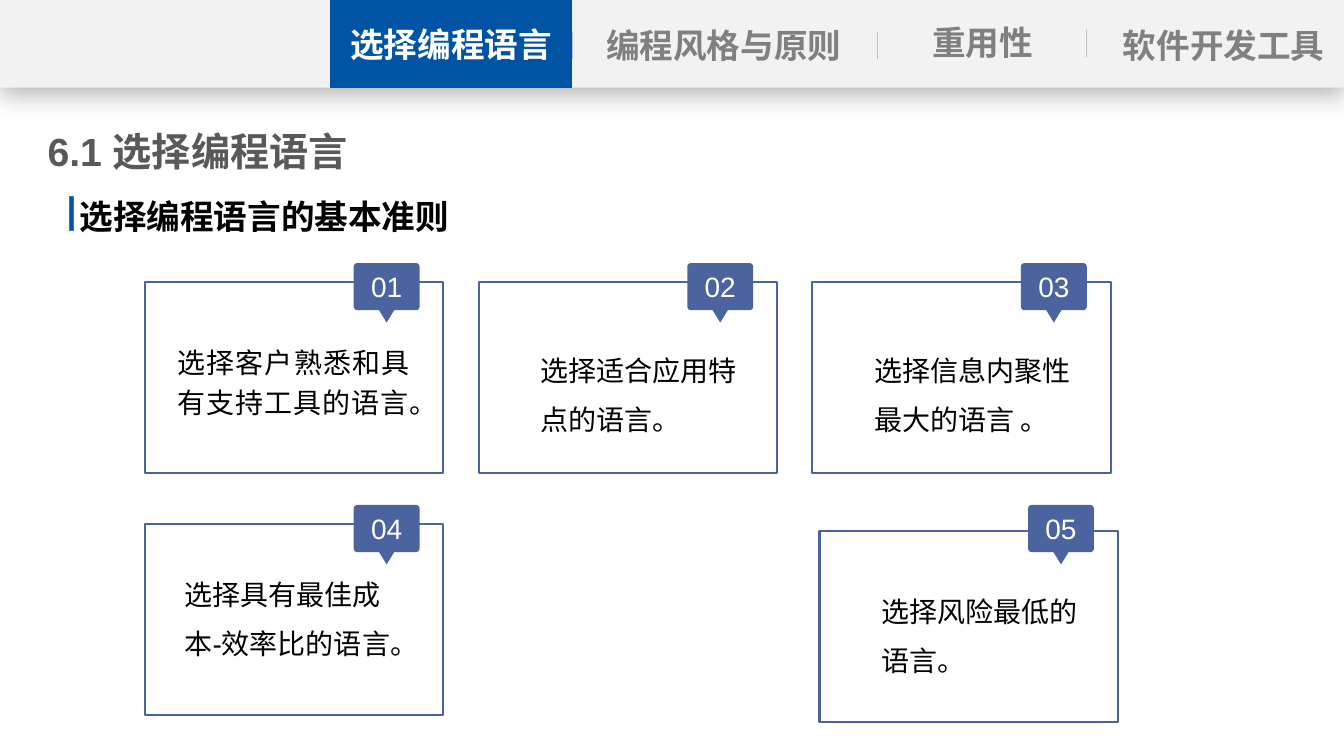
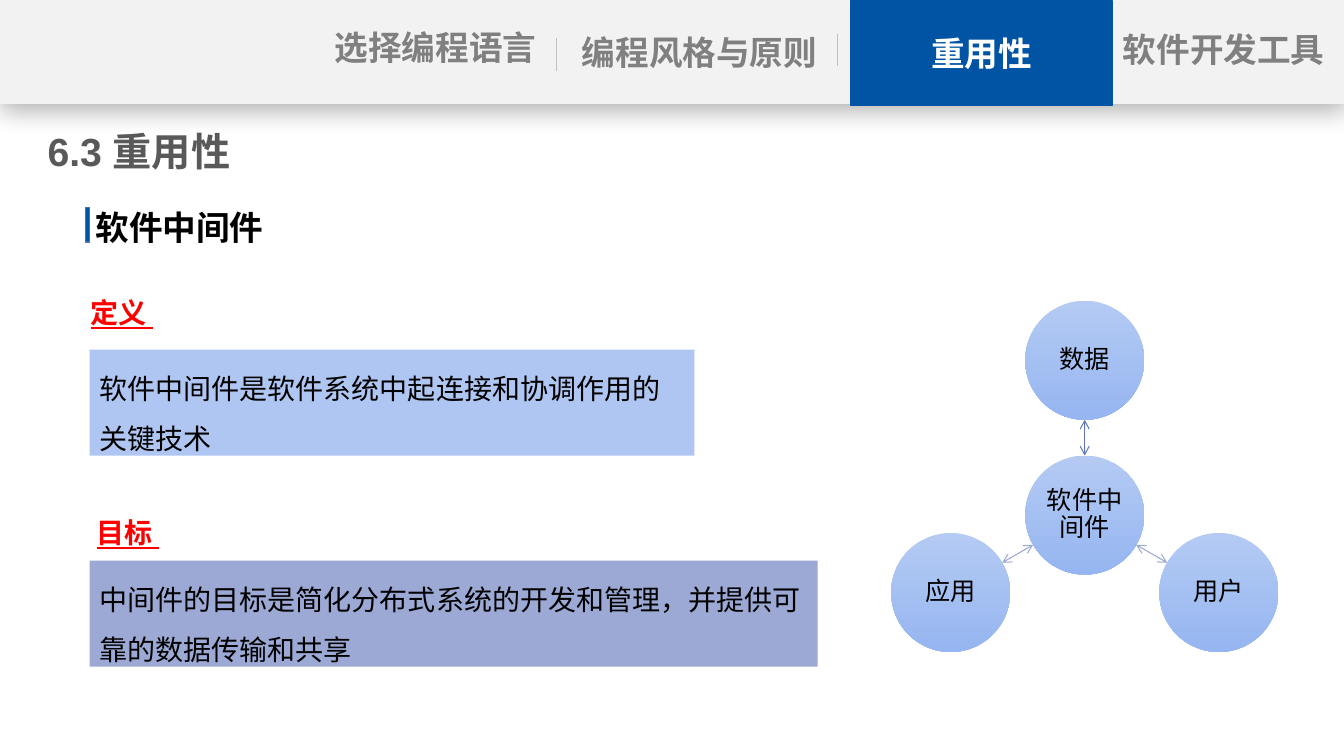
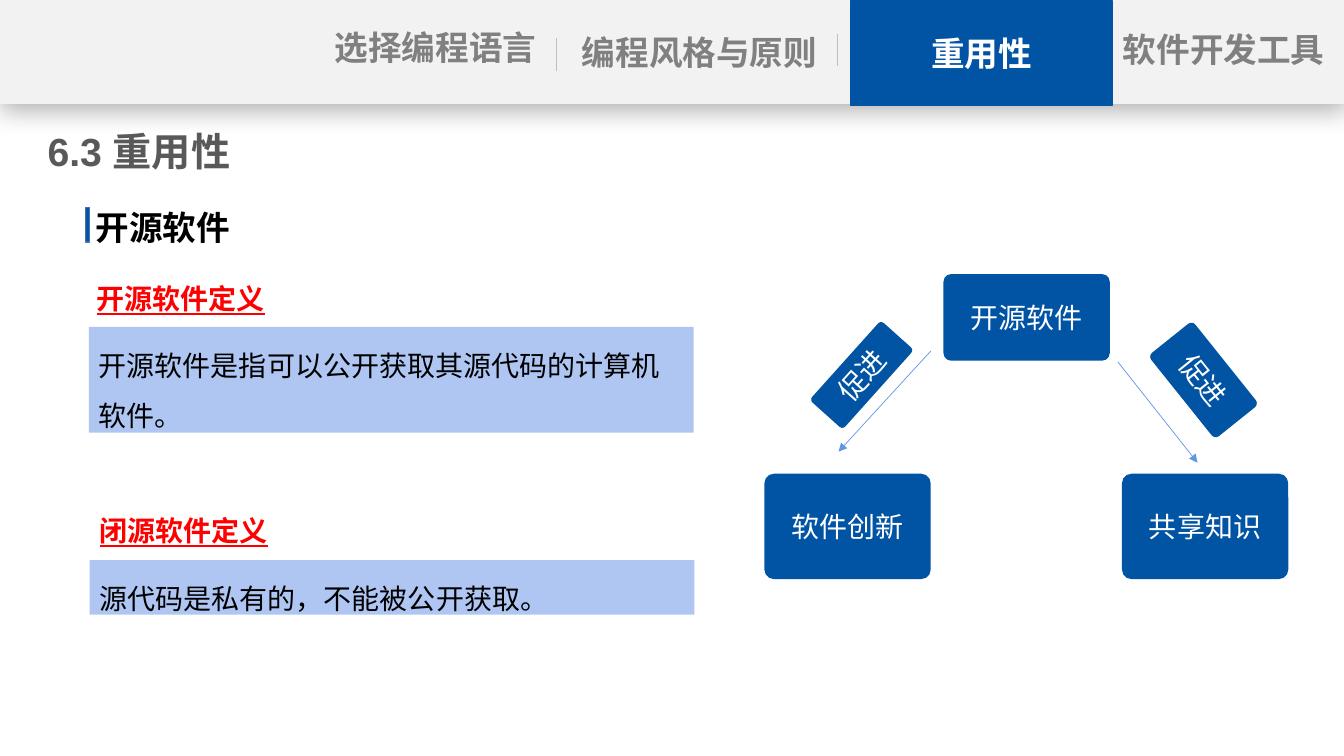
"""Build three slides on choosing languages and on software reuse."""
import math
from dataclasses import dataclass

from lxml import etree
from pptx import Presentation
from pptx.dml.color import RGBColor
from pptx.enum.shapes import MSO_CONNECTOR, MSO_SHAPE
from pptx.enum.text import MSO_ANCHOR, PP_ALIGN
from pptx.oxml.ns import qn
from pptx.shapes.autoshape import Shape
from pptx.slide import Slide
from pptx.util import Length, Pt

RECT, ROUND, OVAL = MSO_SHAPE.RECTANGLE, MSO_SHAPE.ROUNDED_RECTANGLE, MSO_SHAPE.OVAL
STRAIGHT = MSO_CONNECTOR.STRAIGHT
TOP, MIDDLE = MSO_ANCHOR.TOP, MSO_ANCHOR.MIDDLE
LEFT, CENTER, JUSTIFY = PP_ALIGN.LEFT, PP_ALIGN.CENTER, PP_ALIGN.JUSTIFY

WHITE = RGBColor(0xFF, 0xFF, 0xFF)
BLACK = RGBColor(0, 0, 0)
RED = RGBColor(0xFF, 0, 0)
BLUE = RGBColor(0x00, 0x54, 0xA3)
BAR_EDGE = RGBColor(0x47, 0x6F, 0xAA)
INDIGO = RGBColor(0x4B, 0x64, 0x9F)
BAND = RGBColor(0xF2, 0xF2, 0xF2)
RULE = RGBColor(0xBF, 0xBF, 0xBF)
TAB_GREY = RGBColor(0x80, 0x80, 0x80)
TITLE_GREY = RGBColor(0x59, 0x59, 0x59)
PALE_BLUE = RGBColor(0xAF, 0xC6, 0xF2)
LAVENDER = RGBColor(0x9B, 0xA9, 0xD4)
SPOKE = RGBColor(0x5E, 0x75, 0xBA)
ARROW = RGBColor(0x60, 0x96, 0xE6)
DISC_TOP = RGBColor(0xB4, 0xCA, 0xF3)
DISC_BOTTOM = RGBColor(0x96, 0xB6, 0xF1)

FONT = "Arial"
SLIDE_W, SLIDE_H = 960, 540
INSETS = (7.2, 3.6, 7.2, 3.6)
FLAT = (0, 3.6, 0, 3.6)


@dataclass(frozen=True)
class Box:
    left: float
    top: float
    width: float
    height: float

    def lengths(self) -> tuple[Length, Length, Length, Length]:
        return Pt(self.left), Pt(self.top), Pt(self.width), Pt(self.height)


@dataclass(frozen=True)
class Style:
    size: float
    color: RGBColor
    bold: bool = False
    underline: bool = False
    align: PP_ALIGN = LEFT
    anchor: MSO_ANCHOR = TOP
    spacing: float | Length = 1.0
    insets: tuple[float, float, float, float] = INSETS


@dataclass(frozen=True)
class Tab:
    text: str
    box: Box


@dataclass(frozen=True)
class Nav:
    height: float
    active: Tab
    tabs: tuple[Tab, ...]
    rules: tuple[tuple[float, float, float], ...]


@dataclass(frozen=True)
class Card:
    left: float
    top: float
    badge_top: float
    text: str
    text_dx: float = 16
    text_dy: float = 36.7
    text_width: float = 180
    justified: bool = False


@dataclass(frozen=True)
class Panel:
    heading: str
    heading_left: float
    heading_top: float
    text: str
    box: Box
    fill: RGBColor = PALE_BLUE


@dataclass(frozen=True)
class Node:
    text: str
    box: Box
    rotation: float = 0


TITLE = Style(28, TITLE_GREY, bold=True, insets=FLAT)
SUBTITLE = Style(24, BLACK, bold=True)
TAB = Style(24, TAB_GREY, bold=True, align=CENTER, insets=FLAT)
ACTIVE_TAB = Style(24, WHITE, bold=True, align=CENTER, anchor=MIDDLE)
BADGE = Style(20, WHITE, align=CENTER, anchor=MIDDLE, insets=(0, 0, 0, 8.64))
CARD = Style(20, BLACK, spacing=Pt(35), insets=(28.1, 3.6, 7.2, 3.6))
CARD_JUSTIFIED = Style(20, BLACK, align=JUSTIFY, spacing=1.2)
HEADING = Style(20, RED, bold=True, underline=True, spacing=1.5)
PANEL = Style(20, BLACK, spacing=1.5)
DISC = Style(18, BLACK, align=CENTER, anchor=MIDDLE, spacing=0.9, insets=(0.9,) * 4)
NODE = Style(20, WHITE, align=CENTER, anchor=MIDDLE)

LANGUAGE, PRINCIPLES, REUSE, TOOLS = "选择编程语言", "编程风格与原则", "重用性", "软件开发工具"

LANGUAGE_NAV = Nav(
    62.6,
    Tab(LANGUAGE, Box(236.2, 0, 172, 62.6)),
    (
        Tab(PRINCIPLES, Box(431.3, 14.4, 171.4, 36.7)),
        Tab(REUSE, Box(650.9, 12.2, 102.2, 36.7)),
        Tab(TOOLS, Box(799.2, 14.4, 149.8, 36.7)),
    ),
    ((409, 23, 42.5), (626.4, 23, 42.5), (776.2, 21.6, 41)),
)
REUSE_NAV = Nav(
    74.2,
    Tab(REUSE, Box(607.7, 0.7, 187.2, 74.2)),
    (
        Tab(LANGUAGE, Box(225.4, 15.8, 171.4, 43.2)),
        Tab(PRINCIPLES, Box(400.3, 19.4, 198.7, 36.7)),
        Tab(TOOLS, Box(799.2, 17.3, 149.8, 36.7)),
    ),
    ((397.4, 27.4, 50.4), (598.3, 24.5, 47.5)),
)

CARD_LEFT, CARD_PITCH, CARD_W, CARD_H = 103.7, 238.3, 213.1, 136.1
ROWS = (201.6, 374.4)
BADGE_TOPS = (187.9, 360.7)
CARDS = (
    Card(CARD_LEFT, ROWS[0], BADGE_TOPS[0], "选择客户熟悉和具有支持工具的语言。", justified=True),
    Card(CARD_LEFT + CARD_PITCH, ROWS[0], BADGE_TOPS[0], "选择适合应用特点的语言。"),
    Card(CARD_LEFT + 2 * CARD_PITCH, ROWS[0], BADGE_TOPS[0], "选择信息内聚性最大的语言 。"),
    Card(CARD_LEFT, ROWS[1], BADGE_TOPS[1], "选择具有最佳成本-效率比的语言。", 0, 23.8, 196),
    Card(585.4, 379.4, BADGE_TOPS[1], "选择风险最低的语言。", text_dy=31),
)

MIDDLEWARE_PANELS = (
    Panel("定义 ", 57.6, 195.8, "软件中间件是软件系统中起连接和协调作用的关键技术",
          Box(64, 249.8, 432, 75.6)),
    Panel("目标 ", 62, 352.8, "中间件的目标是简化分布式系统的开发和管理，并提供可靠的数据传输和共享",
          Box(64, 400.5, 520, 75.6), LAVENDER),
)
OPEN_SOURCE_PANELS = (
    Panel("开源软件定义", 62, 185.8, "开源软件是指可以公开获取其源代码的计算机软件。",
          Box(63.5, 233.4, 432, 75.6)),
    Panel("闭源软件定义", 64, 351.4, "源代码是私有的，不能被公开获取。",
          Box(64, 400.2, 432, 38.9)),
)

HUB_X, HUB_Y, DISC_R, ORBIT = 774.8, 367.9, 42.5, 110.6
SPOKES = (("数据", -90, SPOKE), ("用户", 30, LAVENDER), ("应用", 150, LAVENDER))

NODES = (
    Node("开源软件", Box(673.9, 195.8, 118.8, 61.9)),
    Node("软件创新", Box(546, 338.4, 118.8, 75.3)),
    Node("共享知识", Box(801.4, 338.4, 118.8, 75.3)),
    Node("促进", Box(577.4, 252, 76.3, 31.7), 311.9),
    Node("促进", Box(821.5, 251.3, 76.3, 40.3), 51.3),
)
NODE_ARROWS = ((665, 250.6, 599, 322.6), (798.5, 258.5, 855.4, 330.5))


def write(sp: Shape, text: str, style: Style) -> None:
    tf = sp.text_frame
    tf.word_wrap = True
    tf.vertical_anchor = style.anchor
    left, top, right, bottom = map(Pt, style.insets)
    tf.margin_left, tf.margin_top = left, top
    tf.margin_right, tf.margin_bottom = right, bottom
    p = tf.paragraphs[0]
    p.add_run().text = text
    p.alignment = style.align
    p.line_spacing = style.spacing
    p.font.name = FONT
    p.font.size = Pt(style.size)
    p.font.bold = style.bold
    p.font.underline = style.underline
    p.font.color.rgb = style.color


def add_text(s: Slide, box: Box, text: str, style: Style) -> None:
    write(s.shapes.add_textbox(*box.lengths()), text, style)


def paint(sp: Shape, fill: RGBColor | None, line: RGBColor | None = None, width: float = 1) -> None:
    sp.shadow.inherit = False
    if fill is None:
        sp.fill.background()
    else:
        sp.fill.solid()
        sp.fill.fore_color.rgb = fill
    if line is None:
        sp.line.fill.background()
    else:
        sp.line.color.rgb = line
        sp.line.width = Pt(width)


def add_box(s: Slide, kind: MSO_SHAPE, box: Box, fill: RGBColor | None,
            line: RGBColor | None = None, width: float = 1) -> Shape:
    sp = s.shapes.add_shape(kind, *box.lengths())
    paint(sp, fill, line, width)
    return sp


def add_line(s: Slide, ends: tuple[float, float, float, float], color: RGBColor,
             width: float = 0.5, head: str = "none", tail: str = "none") -> None:
    c = s.shapes.add_connector(STRAIGHT, *map(Pt, ends))
    c.line.color.rgb = color
    c.line.width = Pt(width)
    ln = c.line._get_or_add_ln()
    etree.SubElement(ln, qn("a:headEnd"), type=head)
    etree.SubElement(ln, qn("a:tailEnd"), type=tail)
    etree.SubElement(c._element.spPr, qn("a:effectLst"))


def add_band(s: Slide, height: float) -> None:
    band = add_box(s, RECT, Box(0, 0, SLIDE_W, height), BAND)
    effects = band._element.spPr.find(qn("a:effectLst"))
    shadow = etree.SubElement(effects, qn("a:outerShdw"), blurRad=str(Pt(18)),
                              dist=str(Pt(4)), dir="5400000", algn="t", rotWithShape="0")
    color = etree.SubElement(shadow, qn("a:srgbClr"), val=str(BLACK))
    etree.SubElement(color, qn("a:alpha"), val="29000")


def add_nav(s: Slide, nav: Nav) -> None:
    add_band(s, nav.height)
    for x, top, bottom in nav.rules:
        add_line(s, (x, top, x, bottom), RULE)
    for tab in nav.tabs:
        add_text(s, tab.box, tab.text, TAB)
    write(add_box(s, RECT, nav.active.box, BLUE, BLUE), nav.active.text, ACTIVE_TAB)


def add_slide(prs: Presentation, nav: Nav, title: str, subtitle: str,
              left: float, top: float) -> Slide:
    s = prs.slides.add_slide(prs.slide_layouts[5])
    sp = s.shapes.title
    sp.left, sp.top, sp.width, sp.height = Box(34, 87, 238, 42).lengths()
    write(sp, title, TITLE)
    add_nav(s, nav)
    add_box(s, RECT, Box(left, top, 2.9, 24.5), BLUE, BAR_EDGE)
    add_text(s, Box(left, top - 4, 399, 36), subtitle, SUBTITLE)
    return s


def add_badge(s: Slide, left: float, top: float, text: str) -> None:
    width, body, tip, half, radius = 47, 33.7, 42.5, 5.4, 2.6
    corners = (
        (width - radius, radius, -90),
        (width - radius, body - radius, 0),
        (radius, body - radius, 90),
        (radius, radius, 180),
    )
    points: list[tuple[float, float]] = []
    for x, y, start in corners:
        if start == 90:
            mid = width / 2
            points += [(mid + half, body), (mid, tip), (mid - half, body)]
        for step in range(5):
            angle = math.radians(start + 22.5 * step)
            points.append((x + radius * math.cos(angle), y + radius * math.sin(angle)))
    outline = [(Pt(left + x), Pt(top + y)) for x, y in points]
    builder = s.shapes.build_freeform(*outline[0])
    builder.add_line_segments(outline[1:], close=True)
    sp = builder.convert_to_shape()
    paint(sp, INDIGO)
    write(sp, text, BADGE)


def add_card(s: Slide, number: int, card: Card) -> None:
    add_box(s, RECT, Box(card.left, card.top, CARD_W, CARD_H), None, INDIGO, 1.5)
    add_badge(s, card.left + 149, card.badge_top, f"{number:02d}")
    box = Box(card.left + card.text_dx, card.top + card.text_dy, card.text_width, 74.2)
    add_text(s, box, card.text, CARD_JUSTIFIED if card.justified else CARD)


def add_panel(s: Slide, panel: Panel) -> None:
    write(add_box(s, RECT, panel.box, panel.fill), panel.text, PANEL)
    add_text(s, Box(panel.heading_left, panel.heading_top, 497.5, 39.6), panel.heading, HEADING)


def add_disc(s: Slide, x: float, y: float, text: str) -> None:
    sp = add_box(s, OVAL, Box(x - DISC_R, y - DISC_R, 2 * DISC_R, 2 * DISC_R), DISC_TOP)
    sp.fill.gradient()
    sp.fill.gradient_angle = 270
    for stop, color in zip(sp.fill.gradient_stops, (DISC_TOP, DISC_BOTTOM)):
        stop.color.rgb = color
    write(sp, text, DISC)


def add_hub(s: Slide) -> None:
    add_disc(s, HUB_X, HUB_Y, "软件中间件")
    for text, degrees, color in SPOKES:
        dx, dy = math.cos(math.radians(degrees)), math.sin(math.radians(degrees))
        near, far = DISC_R, ORBIT - DISC_R
        ends = (HUB_X + near * dx, HUB_Y + near * dy, HUB_X + far * dx, HUB_Y + far * dy)
        add_line(s, ends, color, 0.75, "arrow", "arrow")
        add_disc(s, HUB_X + ORBIT * dx, HUB_Y + ORBIT * dy, text)


def add_node(s: Slide, node: Node) -> None:
    sp = add_box(s, ROUND, node.box, BLUE)
    sp.adjustments[0] = 0.09
    sp.rotation = node.rotation
    write(sp, node.text, NODE)


def main() -> None:
    prs = Presentation()
    prs.slide_width, prs.slide_height = Pt(SLIDE_W), Pt(SLIDE_H)

    s = add_slide(prs, LANGUAGE_NAV, "6.1 选择编程语言", "选择编程语言的基本准则", 49.7, 140.4)
    for number, card in enumerate(CARDS, 1):
        add_card(s, number, card)

    s = add_slide(prs, REUSE_NAV, "6.3 重用性", "软件中间件", 61.2, 148.3)
    for panel in MIDDLEWARE_PANELS:
        add_panel(s, panel)
    add_hub(s)

    s = add_slide(prs, REUSE_NAV, "6.3 重用性", "开源软件", 61.2, 148.3)
    for panel in OPEN_SOURCE_PANELS:
        add_panel(s, panel)
    for node in NODES:
        add_node(s, node)
    for ends in NODE_ARROWS:
        add_line(s, ends, ARROW, tail="triangle")

    prs.save("out.pptx")


if __name__ == "__main__":
    main()
